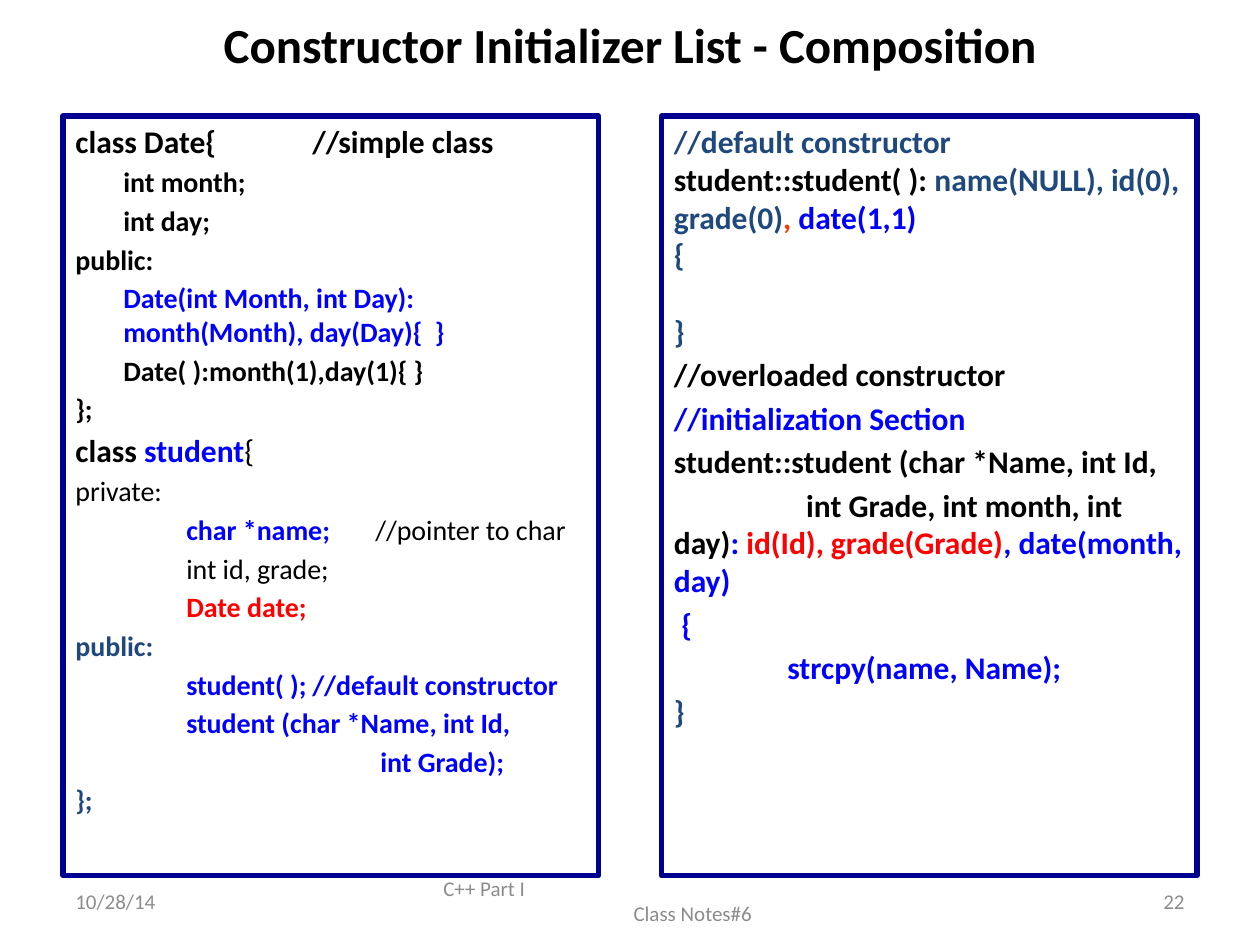
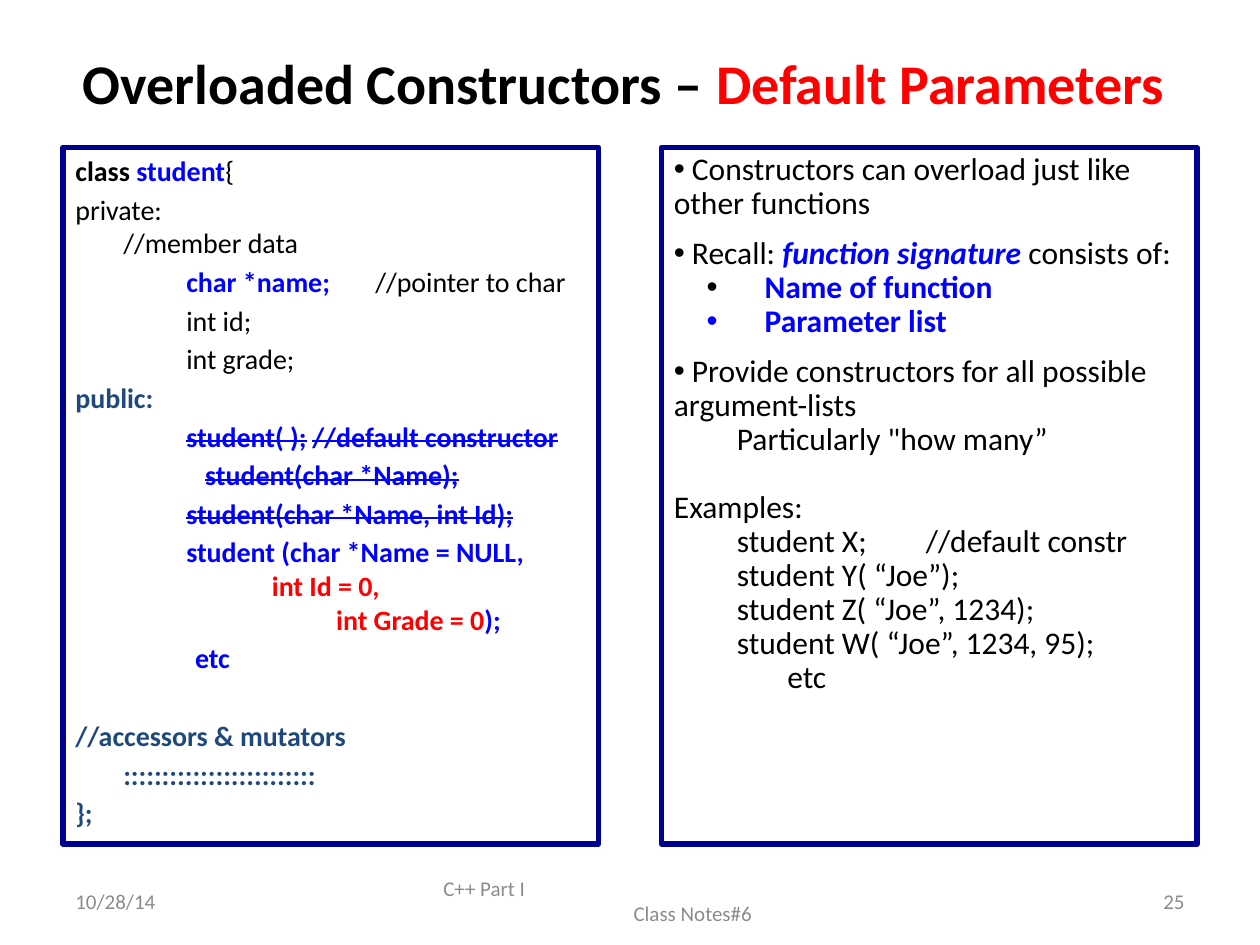
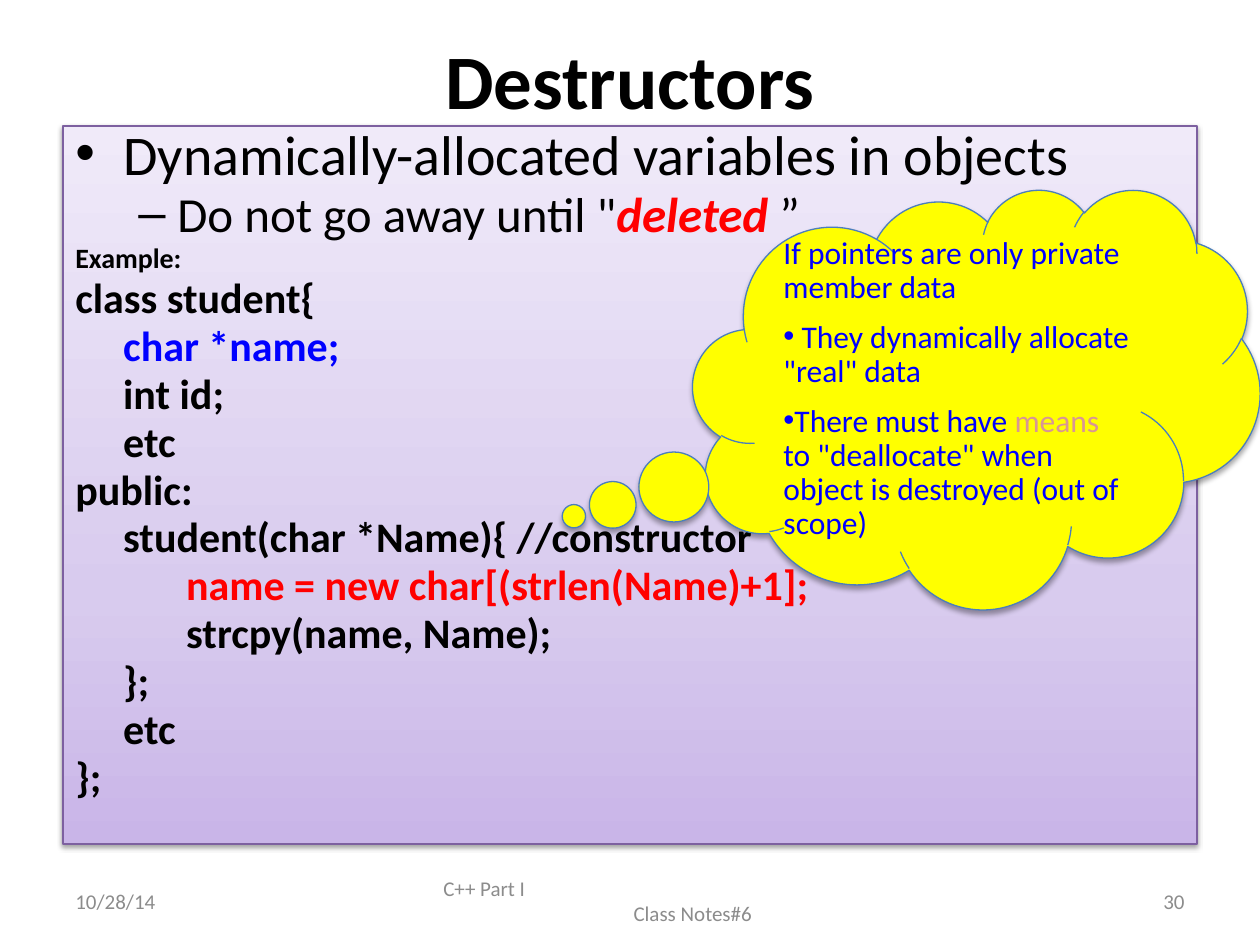
from dataclasses import dataclass

from lxml import etree
from pptx import Presentation
from pptx.dml import color as dml
from pptx.enum import shapes, text
from pptx.oxml import ns
from pptx.util import Inches, Pt

FONT = "Calibri"
BLACK, BLUE, RED, SLATE = "000000", "0000FF", "FF0000", "1F497D"
NAVY, GREY, ORANGE, ROSE = "000090", "8C8C8C", "FF3300", "D99694"
STEP, DEEP = 0.38, 0.88
CODE_GAP, POINT_GAP = 0.18, 0.5
LEFT, CENTER, RIGHT = text.PP_ALIGN.LEFT, text.PP_ALIGN.CENTER, text.PP_ALIGN.RIGHT
TOP, MIDDLE = text.MSO_ANCHOR.TOP, text.MSO_ANCHOR.MIDDLE


@dataclass
class Line:
    wording: object
    color: str = BLACK
    style: str = ""
    size: float = 0
    left: float = 0
    first: float = 0
    gap: float = None
    bullet: str = ""
    bullet_color: str = ""


def rgb(value):
    return dml.RGBColor.from_string(value)


def add_node(parent, tag, **attributes):
    return etree.SubElement(parent, ns.qn(tag), **attributes)


def style_font(font, color, style):
    font.color.rgb = rgb(color)
    font.bold = "b" in style
    font.italic = "i" in style


def write_lines(frame, lines, size, gap=0, spacing=None, align=LEFT, anchor=TOP):
    frame.word_wrap = True
    frame.vertical_anchor = anchor
    for number, line in enumerate(lines):
        paragraph = frame.paragraphs[0] if number == 0 else frame.add_paragraph()
        points = line.size or size
        paragraph.alignment = align
        paragraph.line_spacing = spacing
        paragraph.space_before = Pt(points * (gap if line.gap is None else line.gap))
        properties = paragraph._p.get_or_add_pPr()
        properties.set("marL", str(Inches(line.left)))
        properties.set("indent", str(Inches(line.first)))
        if line.bullet:
            tint = add_node(properties, "a:buClr")
            add_node(tint, "a:srgbClr", val=line.bullet_color or line.color)
            add_node(properties, "a:buFont", typeface="Arial")
            add_node(properties, "a:buChar", char=line.bullet)
        paragraph.font.name = FONT
        paragraph.font.size = Pt(points)
        style_font(paragraph.font, line.color, line.style)
        pieces = [line.wording] if isinstance(line.wording, str) else line.wording
        for piece in pieces:
            run = paragraph.add_run()
            if isinstance(piece, str):
                run.text = piece
                continue
            run.text, color, style = piece
            style_font(run.font, color, style)
            if "s" in style:
                run.font._element.set("strike", "sngStrike")


def place(box):
    return [Inches(length) for length in box]


def add_text(slide, box, lines, size, **options):
    frame = slide.shapes.add_textbox(*place(box)).text_frame
    write_lines(frame, lines, size, **options)


def add_box(slide, kind, box, outline, weight):
    shape = slide.shapes.add_shape(kind, *place(box))
    shape.shadow.inherit = False
    shape.line.color.rgb = rgb(outline)
    shape.line.width = Pt(weight)
    return shape


def drop_shadow(shape, strength, distance):
    effects = shape._element.spPr.find(ns.qn("a:effectLst"))
    shadow = add_node(effects, "a:outerShdw", blurRad=str(Pt(3.1)), dist=str(Pt(distance)),
                      dir="5400000", rotWithShape="0")
    tint = add_node(shadow, "a:srgbClr", val=BLACK)
    add_node(tint, "a:alpha", val=str(strength * 1000))


def shade(shape, stops):
    shape.fill.gradient()
    shape.fill.gradient_angle = 90
    stop_list = shape._element.spPr.find(ns.qn("a:gradFill")).find(ns.qn("a:gsLst"))
    for stop in list(stop_list):
        stop_list.remove(stop)
    for position, color in stops:
        stop = add_node(stop_list, "a:gs", pos=str(position * 1000))
        add_node(stop, "a:srgbClr", val=color)


def add_title(slide, box, size, wording):
    add_text(slide, box, [Line(wording, style="b")], size, align=CENTER, anchor=MIDDLE)


def add_footer(slide, number):
    top, height = 6.95, 0.4
    course = [Line("C++ Part I", GREY), Line("Class Notes#6", GREY, left=1.51)]
    for left, width, lines, align in (
        (0.5, 2.33, [Line("10/28/14", GREY)], LEFT),
        (3.42, 3.17, course, LEFT),
        (7.17, 2.33, [Line(number, GREY)], RIGHT),
    ):
        add_text(slide, (left, top, width, height), lines, 12, align=align, anchor=MIDDLE)


def add_panels(slide, top, height, panels):
    width, pitch = 4.25, 4.75
    for column, (lines, options) in enumerate(panels):
        box = (0.5 + column * pitch, top, width, height)
        panel = add_box(slide, shapes.MSO_SHAPE.RECTANGLE, box, NAVY, 3)
        panel.fill.background()
        write_lines(panel.text_frame, lines, **options)


def initializer_slide(slide):
    add_title(slide, (0.5, 0, 9, 0.7), 28, "Constructor Initializer List - Composition")
    classes = [
        Line("class Date{\t\t//simple class", style="b", size=18, left=STEP, first=-STEP),
        Line("int month;", style="b", left=STEP),
        Line("int day;", style="b", left=STEP),
        Line("public:", style="b"),
        Line("Date(int Month, int Day): month(Month), day(Day){  }", BLUE, "b", left=STEP),
        Line("Date( ):month(1),day(1){ }", style="b", left=STEP),
        Line("};", style="b"),
        Line(["class ", ("student", BLUE, "b"), ("{", BLACK, "")], style="b", size=18),
        Line("private:"),
        Line([("char *name;", BLUE, "b"), "\t//pointer to char"], left=DEEP),
        Line("int id, grade;", left=DEEP),
        Line("Date date;", RED, "b", left=DEEP),
        Line("public:", SLATE, "b"),
        Line("student( );\t//default constructor", BLUE, "b", left=DEEP),
        Line("student (char *Name, int Id,", BLUE, "b", left=DEEP),
        Line("int Grade);", BLUE, "b", left=2.42),
        Line("};", SLATE, "b"),
    ]
    constructors = [
        Line("//default constructor", SLATE, "b", gap=0),
        Line(["student::student( ): ", ("name(NULL), id(0), grade(0)", SLATE, "b"),
              (", ", ORANGE, "b"), ("date(1,1)", BLUE, "b")], style="b", gap=0),
        Line("{", SLATE, "b", gap=0),
        Line("}", SLATE, "b", gap=1.22),
        Line("//overloaded constructor", style="b"),
        Line("//initialization Section", BLUE, "b"),
        Line("student::student (char *Name, int Id,", style="b"),
        Line(["int Grade, int month, int day)", (": ", BLUE, "b"),
              ("id(Id), grade(Grade)", RED, "b"), (", date(month, day)", BLUE, "b")],
             style="b", first=1.05),
        Line("{", BLUE, "b", left=0.06),
        Line("strcpy(name, Name);", BLUE, "b", left=0.9),
        Line("}", SLATE, "b"),
    ]
    add_panels(slide, 0.92, 6.03, [
        (classes, dict(size=16, gap=CODE_GAP)),
        (constructors, dict(size=18, gap=CODE_GAP)),
    ])


def overload_slide(slide):
    add_title(slide, (0.5, 0.3, 9, 0.7), 32,
              ["Overloaded Constructors – ", ("Default Parameters ", RED, "b")])
    student = [
        Line(["class ", ("student", BLUE, "b"), ("{", BLACK, "")], style="b"),
        Line("private:"),
        Line("//member data", left=STEP, gap=0),
        Line([("char *name;", BLUE, "b"), "\t//pointer to char"], left=DEEP),
        Line("int id;", left=DEEP),
        Line("int grade;", left=DEEP),
        Line("public:", SLATE, "b"),
        Line([("student( );\t//default constructor", BLUE, "bs")], BLUE, "b", left=DEEP),
        Line([("student(char *Name);", BLUE, "bs")], BLUE, "b", left=1.03),
        Line([("student(char *Name, int Id);", BLUE, "bs")], BLUE, "b", left=DEEP),
        Line("student (char *Name = NULL,", BLUE, "b", left=DEEP),
        Line("int Id = 0,", RED, "b", left=1.56, gap=0),
        Line(["int Grade = 0", (");", BLUE, "b")], RED, "b", left=2.07, gap=0),
        Line("etc", BLUE, "b", left=0.95),
        Line("//accessors & mutators", SLATE, "b", gap=1.58),
        Line(":::::::::::::::::::::::::", SLATE, "b", left=STEP),
        Line("};", SLATE, "b"),
    ]
    signature = dict(color=BLUE, style="b", left=0.72, first=-0.46, gap=0, bullet="•")
    calls = ["student X;\t//default constr", "student Y( “Joe”);",
             "student Z( “Joe”, 1234);", "student W( “Joe”, 1234, 95);"]
    rules = [
        Line(" Constructors can overload just like other functions", bullet="•"),
        Line([" Recall: ", ("function signature ", BLUE, "bi"), "consists of:"], bullet="•"),
        Line("Name of function", bullet_color=BLACK, **signature),
        Line("Parameter list", **signature),
        Line(" Provide constructors for all possible argument-lists", bullet="•"),
        Line("Particularly \"how many”", left=0.5, gap=0),
        Line("Examples:", gap=1.08),
        *[Line(call, left=0.5, gap=0) for call in calls],
        Line("etc", left=0.9, gap=0),
    ]
    add_panels(slide, 1.17, 5.53, [
        (student, dict(size=16, gap=CODE_GAP)),
        (rules, dict(size=18, gap=POINT_GAP, spacing=0.9)),
    ])


def add_destructor_code(slide, box):
    panel = add_box(slide, shapes.MSO_SHAPE.RECTANGLE, box, "7D60A0", 0.75)
    shade(panel, [(0, "C9B5E8"), (35, "D8CBEE"), (100, "F0EAF9")])
    drop_shadow(panel, 38, 1.6)
    write_lines(panel.text_frame, [
        Line("Dynamically-allocated variables in objects", size=32, left=STEP, first=-STEP,
             bullet="•"),
        Line(["Do not go away until \"", ("deleted ", RED, "bi"), "”"], size=28,
             left=0.81, first=-0.31, bullet="–"),
        Line("Example:", style="b", size=16),
        Line("class student{", style="b"),
        Line("char *name;", BLUE, "b", left=STEP),
        Line("int id;", style="b", left=STEP),
        Line("etc", style="b", left=STEP),
        Line("public:", style="b"),
        Line("student(char *Name){ //constructor", style="b", left=STEP),
        Line("name = new char[(strlen(Name)+1];", RED, "b", left=DEEP),
        Line("strcpy(name, Name);", style="b", left=DEEP),
        Line("};", style="b", left=STEP),
        Line("etc", style="b", left=STEP),
        Line("};", style="b"),
    ], 24, gap=CODE_GAP, spacing=0.8)


def add_thought(slide, box):
    cloud = add_box(slide, shapes.MSO_SHAPE.CLOUD_CALLOUT, box, "4B7EBC", 0.75)
    cloud.adjustments[0], cloud.adjustments[1] = -0.71, 0.28
    cloud.fill.solid()
    cloud.fill.fore_color.rgb = rgb("FFFF00")
    drop_shadow(cloud, 35, 1.8)
    write_lines(cloud.text_frame, [
        Line("If pointers are only private member data", BLUE),
        Line(" They dynamically allocate \"real\" data", BLUE, bullet="•"),
        Line(["There must have ", ("means", ROSE, ""),
              " to \"deallocate\" when object is destroyed (out of scope)"], BLUE, bullet="•"),
    ], 18, gap=POINT_GAP, spacing=0.9, anchor=MIDDLE)


def destructor_slide(slide):
    add_title(slide, (0.5, 0, 9, 1.25), 44, "Destructors")
    add_destructor_code(slide, (0.5, 1, 9, 5.7))
    add_thought(slide, (5.5, 1.5, 4.5, 3.33))


def main():
    deck = Presentation()
    deck.slide_width, deck.slide_height = Inches(10), Inches(7.5)
    for build, number in ((initializer_slide, "22"), (overload_slide, "25"),
                          (destructor_slide, "30")):
        slide = deck.slides.add_slide(deck.slide_layouts[6])
        build(slide)
        add_footer(slide, number)
    deck.save("out.pptx")


if __name__ == "__main__":
    main()
